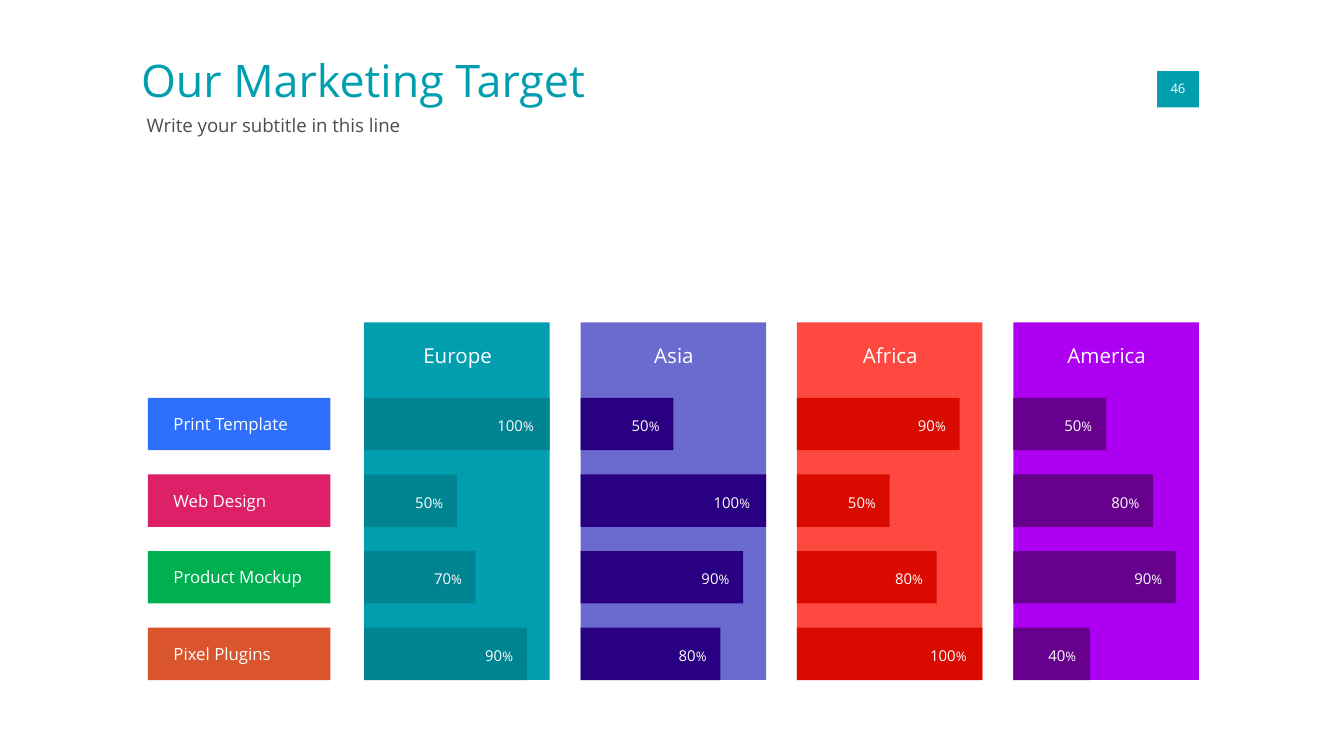
from dataclasses import dataclass
from pptx import Presentation, util as u
from pptx.dml.color import RGBColor
from pptx.enum import shapes, text as t

FONT = "Open Sans"
WHITE, TEAL, GRAY = "FFFFFF", "009EAF", "4D4D4D"
LEFT, TOP = 2.71, 2.4
COL_STEP, COL_WIDE, COL_HIGH = 1.61, 1.38, 2.66
ROW_TOP, ROW_STEP, ROW_HIGH = 2.96, 0.57, 0.39
SPAN = {40: 0.57, 50: 0.69, 70: 0.83, 80: 1.04, 90: 1.21, 100: 1.38}


@dataclass
class Region:
    name: str
    fill: str
    dark: str
    rates: tuple[int, ...]


@dataclass
class Label:
    name: str
    fill: str


REGIONS = [
    Region("Europe", TEAL, "008492", (100, 50, 70, 90)),
    Region("Asia", "6B6BCF", "290082", (50, 100, 90, 80)),
    Region("Africa", "FE4940", "D90B00", (90, 50, 80, 100)),
    Region("America", "AE00F0", "66008D", (50, 80, 90, 40)),
]
LABELS = [
    Label("Print Template", "2E6FFD"),
    Label("Web Design", "DD2067"),
    Label("Product Mockup", "00B050"),
    Label("Pixel Plugins", "DA542D"),
]


def color(code: str) -> RGBColor:
    return RGBColor.from_string(code)


def rect(host, x: float, y: float, w: float, h: float, fill: str) -> None:
    box = host.add_shape(shapes.MSO_SHAPE.RECTANGLE, *map(u.Inches, (x, y, w, h)))
    box.shadow.inherit = False
    box.fill.solid()
    box.fill.fore_color.rgb = color(fill)
    box.line.fill.background()


def write(box, *runs: tuple[str, float], tint: str = WHITE, pad: float = 0,
          align=t.PP_ALIGN.LEFT, anchor=t.MSO_ANCHOR.TOP, wrap: bool = True) -> None:
    frame = box.text_frame
    frame.auto_size = t.MSO_AUTO_SIZE.NONE
    frame.word_wrap = wrap
    frame.vertical_anchor = anchor
    frame.margin_left = frame.margin_right = u.Inches(pad)
    frame.margin_top = frame.margin_bottom = u.Inches(pad)
    para = frame.paragraphs[0]
    para.alignment = align
    for words, size in runs:
        run = para.add_run()
        run.text = words
        run.font.name = FONT
        run.font.size = u.Pt(size)
        run.font.color.rgb = color(tint)


def label(host, x: float, y: float, w: float, h: float,
          *runs: tuple[str, float], **style) -> None:
    write(host.add_textbox(*map(u.Inches, (x, y, w, h))), *runs, **style)


def column(host, x: float, region: Region) -> None:
    rect(host, x, TOP, COL_WIDE, COL_HIGH, region.fill)
    label(host, x + 0.01, TOP + 0.11, 1.37, 0.29, (region.name, 11),
          pad=0.04, align=t.PP_ALIGN.CENTER)


def bar(host, x: float, y: float, rate: int, fill: str) -> None:
    rect(host, x, y, SPAN[rate], ROW_HIGH, fill)


def value(host, x: float, y: float, rate: int) -> None:
    wide = 0.45 if rate == 100 else 0.37
    label(host, x + SPAN[rate] - wide, y + 0.08, wide, 0.33,
          (str(rate), 8), ("%", 7), pad=0.06)


deck = Presentation()
deck.slide_width, deck.slide_height = u.Pt(720), u.Pt(405)
slide = deck.slides.add_slide(deck.slide_layouts[5])
items = slide.shapes

title = items.title
title.left, title.top = u.Inches(1.05), u.Inches(0.39)
title.width, title.height = u.Inches(4.76), u.Inches(0.49)
write(title, ("Our Marketing Target", 24), tint=TEAL)
rect(items, 8.61, 0.53, 0.31, 0.27, TEAL)
label(items, 8.71, 0.6, 0.11, 0.12, ("46", 7), wrap=False,
      align=t.PP_ALIGN.CENTER, anchor=t.MSO_ANCHOR.MIDDLE)
label(items, 1.09, 0.85, 6.91, 0.23,
      ("Write your subtitle in this line", 10), tint=GRAY)

for col, region in enumerate(REGIONS):
    column(items.add_group_shape().shapes, LEFT + col * COL_STEP, region)

cells = [(LEFT + col * COL_STEP, ROW_TOP + row * ROW_STEP, rate, region.dark)
         for col, region in enumerate(REGIONS)
         for row, rate in enumerate(region.rates)]
for x, y, rate, dark in cells:
    bar(items, x, y, rate, dark)
for x, y, rate, dark in cells:
    value(items, x, y, rate)

legend = items.add_group_shape().shapes
for row, entry in enumerate(LABELS):
    y = ROW_TOP + row * ROW_STEP
    rect(legend, 1.1, y, 1.36, ROW_HIGH, entry.fill)
    label(legend, 1.25, y + 0.05, 1.05, 0.29, (entry.name, 9),
          pad=0.04, anchor=t.MSO_ANCHOR.MIDDLE)

deck.save("out.pptx")
